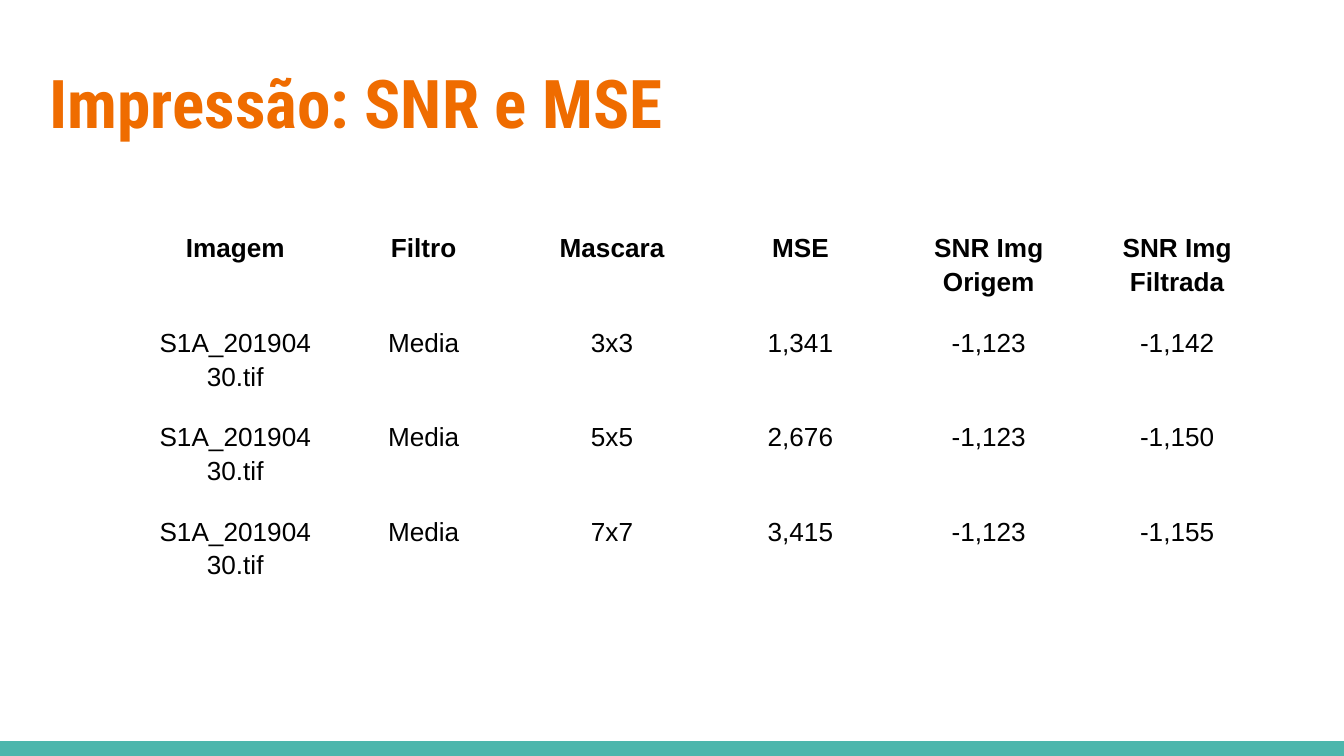
from pptx import Presentation
from pptx.dml.color import RGBColor
from pptx.enum.shapes import MSO_SHAPE
from pptx.enum.text import MSO_ANCHOR, MSO_AUTO_SIZE, PP_ALIGN
from pptx.util import Inches, Pt

RECTANGLE = MSO_SHAPE.RECTANGLE
TOP = MSO_ANCHOR.TOP
NO_AUTOFIT = MSO_AUTO_SIZE.NONE
LEFT, CENTER = PP_ALIGN.LEFT, PP_ALIGN.CENTER

TITLE = "Impressão: SNR e MSE"
HEADERS = ["Imagem", "Filtro", "Mascara", "MSE", "SNR Img Origem", "SNR Img Filtrada"]
IMAGE, FILTER, SOURCE_SNR = "S1A_20190430.tif", "Media", "-1,123"
RESULTS = [
    ("3x3", "1,341", "-1,142"),
    ("5x5", "2,676", "-1,150"),
    ("7x7", "3,415", "-1,155"),
]

THEME = {
    "title_font": "Roboto Condensed",
    "table_font": "Arial",
    "title_size": 36,
    "table_size": 14,
    "title_color": RGBColor(0xEF, 0x6C, 0x00),
    "table_color": RGBColor(0, 0, 0),
    "footer_color": RGBColor(0x4D, 0xB6, 0xAC),
}
SLIDE_W = 10
SLIDE_H = SLIDE_W * 9 / 16
FOOTER_H = 0.11
TABLE_X, TABLE_Y, TABLE_W, TABLE_H = 1.05, 1.66, 8.41, 2.81


def write(frame, text, *, font, size, color, bold=False, align=LEFT, spacing=1.0):
    frame.word_wrap = True
    paragraph = frame.paragraphs[0]
    paragraph.alignment = align
    paragraph.line_spacing = spacing
    run = paragraph.add_run()
    run.text = text
    run.font.name = font
    run.font.size = Pt(size)
    run.font.bold = bold
    run.font.color.rgb = color


def add_footer(slide):
    footer = slide.shapes.add_shape(
        RECTANGLE, 0, Inches(SLIDE_H - FOOTER_H), Inches(SLIDE_W), Inches(FOOTER_H)
    )
    footer.shadow.inherit = False
    footer.fill.solid()
    footer.fill.fore_color.rgb = THEME["footer_color"]
    footer.line.fill.background()


def add_title(slide):
    title = slide.shapes.title
    title.left, title.top = Inches(0.27), Inches(0.36)
    title.width, title.height = Inches(4.89), Inches(0.77)
    frame = title.text_frame
    frame.auto_size = NO_AUTOFIT
    frame.vertical_anchor = TOP
    frame.margin_left = frame.margin_right = Inches(0.1)
    frame.margin_top = frame.margin_bottom = Inches(0.1)
    write(frame, TITLE, font=THEME["title_font"], size=THEME["title_size"],
          color=THEME["title_color"], bold=True)


def add_results(slide):
    rows = [HEADERS] + [
        (IMAGE, FILTER, mask, mse, SOURCE_SNR, filtered_snr)
        for mask, mse, filtered_snr in RESULTS
    ]
    results = slide.shapes.add_table(
        len(rows), len(HEADERS), Inches(TABLE_X), Inches(TABLE_Y),
        Inches(TABLE_W), Inches(TABLE_H)
    ).table
    results.horz_banding = False
    results.first_row = False
    for row_index, row in enumerate(rows):
        for column_index, value in enumerate(row):
            cell = results.cell(row_index, column_index)
            cell.fill.background()
            cell.vertical_anchor = TOP
            cell.margin_left = cell.margin_right = Inches(0.1)
            cell.margin_top = cell.margin_bottom = Inches(0.05)
            write(cell.text_frame, value, font=THEME["table_font"],
                  size=THEME["table_size"], color=THEME["table_color"],
                  bold=row_index == 0, align=CENTER, spacing=1.15)


def main():
    deck = Presentation()
    deck.slide_width, deck.slide_height = Inches(SLIDE_W), Inches(SLIDE_H)
    slide = deck.slides.add_slide(deck.slide_layouts[5])
    add_footer(slide)
    add_title(slide)
    add_results(slide)
    deck.save("out.pptx")


if __name__ == "__main__":
    main()
